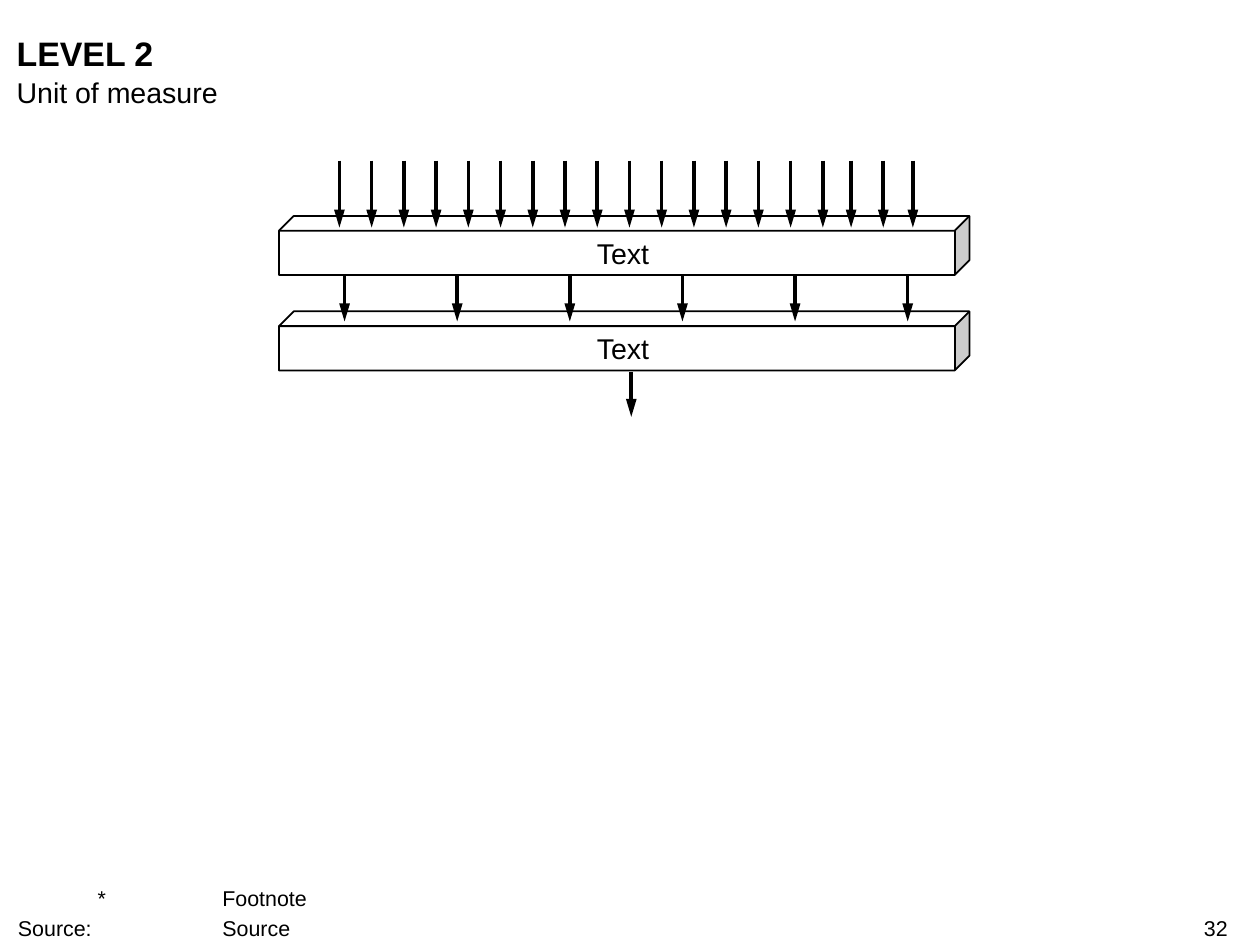
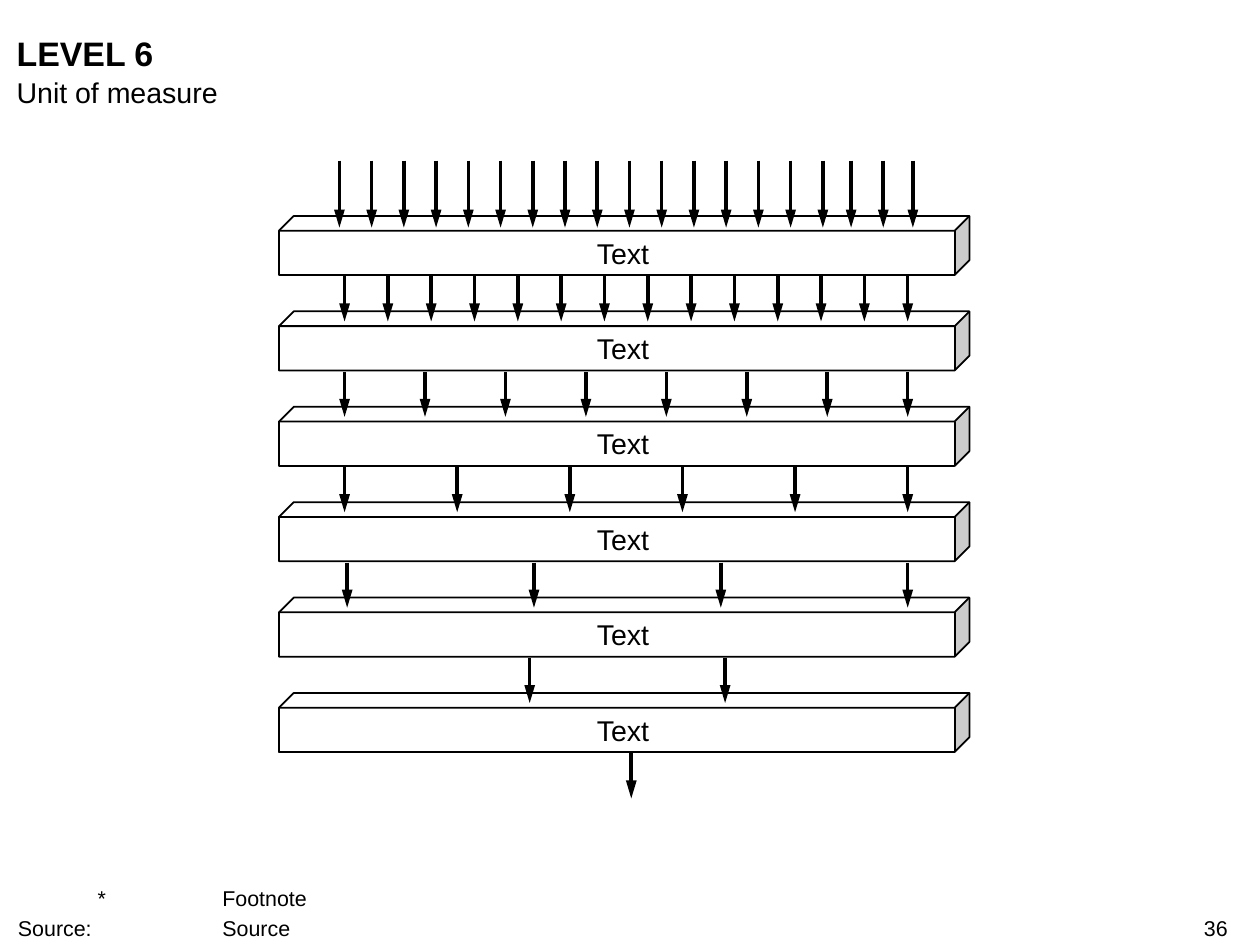
from dataclasses import dataclass

from lxml import etree
from pptx import Presentation
from pptx.dml.color import RGBColor
from pptx.enum.shapes import MSO_CONNECTOR, MSO_SHAPE
from pptx.enum.text import MSO_ANCHOR, MSO_AUTO_SIZE, PP_ALIGN
from pptx.oxml.ns import qn
from pptx.util import Inches, Pt

LEFT, CENTER, RIGHT = PP_ALIGN.LEFT, PP_ALIGN.CENTER, PP_ALIGN.RIGHT
TOP, MIDDLE, BOTTOM = MSO_ANCHOR.TOP, MSO_ANCHOR.MIDDLE, MSO_ANCHOR.BOTTOM
NO_AUTOFIT = MSO_AUTO_SIZE.NONE
CUBE = MSO_SHAPE.CUBE
STRAIGHT = MSO_CONNECTOR.STRAIGHT
TITLE_ONLY = 5


@dataclass(frozen=True)
class Theme:
    font: str = "Arial"
    ink: RGBColor = RGBColor(0, 0, 0)
    paper: RGBColor = RGBColor(255, 255, 255)
    title: int = 19
    body: int = 16
    note: int = 12
    outline: int = 1
    arrow: int = 2


def span(first, last, count):
    if count == 1:
        return [first]
    return [first + (last - first) * i / (count - 1) for i in range(count)]


def set_attrs(target, values):
    for name, value in values.items():
        setattr(target, name, value)


BAR_TOPS = span(1.68, 5.39, 6)
BAR_LEFT, BAR_WIDTH, BAR_HEIGHT = 2.17, 5.37, 0.46
INFLOW = span(2.64, 6.4, 16) + [6.62, 6.87, 7.1]
OUTFLOW = {
    14: span(2.68, 7.06, 14),
    8: span(2.68, 7.06, 8),
    6: span(2.68, 7.06, 6),
    4: span(2.7, 7.06, 4),
    2: span(4.12, 5.64, 2),
    1: [4.91],
}
NOTE_TABS = (0.62, 1.59)
LEVELS = [
    ("LEVEL 2", "32", (6, 1)),
    ("LEVEL 6", "36", (14, 8, 6, 4, 2, 1)),
]


class Deck:
    def __init__(self, theme):
        self.theme = theme
        self.prs = Presentation()
        set_attrs(self.prs, {"slide_width": Inches(9.8), "slide_height": Inches(7.35)})
        self.s = None

    def new_slide(self, title, number):
        self.s = self.prs.slides.add_slide(self.prs.slide_layouts[TITLE_ONLY])
        self.title(title)
        self.text("Unit of measure", (0.13, 0.58, 9.43, 0.27), self.theme.body)
        self.text(number, (7.51, 7.12, 2.04, 0.2), self.theme.note, RIGHT)
        self.footnotes()

    def fill_text(self, sp, lines, size, align=LEFT, anchor=TOP, bold=False):
        tf = sp.text_frame
        set_attrs(tf, {
            "word_wrap": True, "auto_size": NO_AUTOFIT, "vertical_anchor": anchor,
            "margin_left": 0, "margin_right": 0, "margin_top": 0, "margin_bottom": 0,
        })
        for i, line in enumerate(lines):
            p = tf.add_paragraph() if i else tf.paragraphs[0]
            set_attrs(p, {"alignment": align, "space_before": Pt(0.2 * size if i else 0)})
            r = p.add_run()
            r.text = line
            set_attrs(r.font, {"name": self.theme.font, "size": Pt(size), "bold": bold})
            r.font.color.rgb = self.theme.ink
        return tf

    def title(self, text):
        sp = self.s.shapes.title
        box = map(Inches, (0.13, 0.25, 9.43, 0.32))
        set_attrs(sp, dict(zip(("left", "top", "width", "height"), box)))
        self.fill_text(sp, [text], self.theme.title, bold=True)

    def text(self, text, box, size, align=LEFT, anchor=TOP):
        sp = self.s.shapes.add_textbox(*map(Inches, box))
        return self.fill_text(sp, text.split("\n"), size, align, anchor)

    def footnotes(self):
        tf = self.text("\t*\tFootnote\nSource:\t\tSource", (0.14, 6.88, 8.93, 0.44),
                       self.theme.note, anchor=BOTTOM)
        for p in tf.paragraphs:
            tabs = etree.SubElement(p._p.get_or_add_pPr(), qn("a:tabLst"))
            for pos in NOTE_TABS:
                etree.SubElement(tabs, qn("a:tab"), pos=str(Inches(pos)), algn="l")

    def bar(self, top):
        box = map(Inches, (BAR_LEFT, top, BAR_WIDTH, BAR_HEIGHT))
        sp = self.s.shapes.add_shape(CUBE, *box)
        sp.adjustments[0] = 0.25
        sp.shadow.inherit = False
        sp.fill.solid()
        sp.fill.fore_color.rgb = self.theme.paper
        sp.line.color.rgb = self.theme.ink
        sp.line.width = Pt(self.theme.outline)

    def label(self, text, top):
        self.text(text, (2.29, top + 0.15, 5.11, 0.27), self.theme.body, CENTER, MIDDLE)

    def arrows(self, xs, top, bottom):
        shapes = self.s.shapes
        if len(xs) > 1:
            shapes = shapes.add_group_shape().shapes
        for x in xs:
            ends = map(Inches, (x, top, x, bottom))
            c = shapes.add_connector(STRAIGHT, *ends)
            c.line.color.rgb = self.theme.ink
            c.line.width = Pt(self.theme.arrow)
            spPr = c.element.spPr
            etree.SubElement(spPr.find(qn("a:ln")), qn("a:tailEnd"),
                             type="triangle", w="med", len="lg")
            etree.SubElement(spPr, qn("a:effectLst"))

    def funnel(self, counts):
        tops = BAR_TOPS[:len(counts)]
        for top in reversed(tops):
            self.bar(top)
        self.arrows(INFLOW, 1.25, 1.77)
        for top, count in zip(tops, counts):
            self.arrows(OUTFLOW[count], top + 0.47, top + 0.82)
            self.label("Text", top)


def main():
    deck = Deck(Theme())
    for title, number, counts in LEVELS:
        deck.new_slide(title, number)
        deck.funnel(counts)
    deck.prs.save("out.pptx")


if __name__ == "__main__":
    main()
